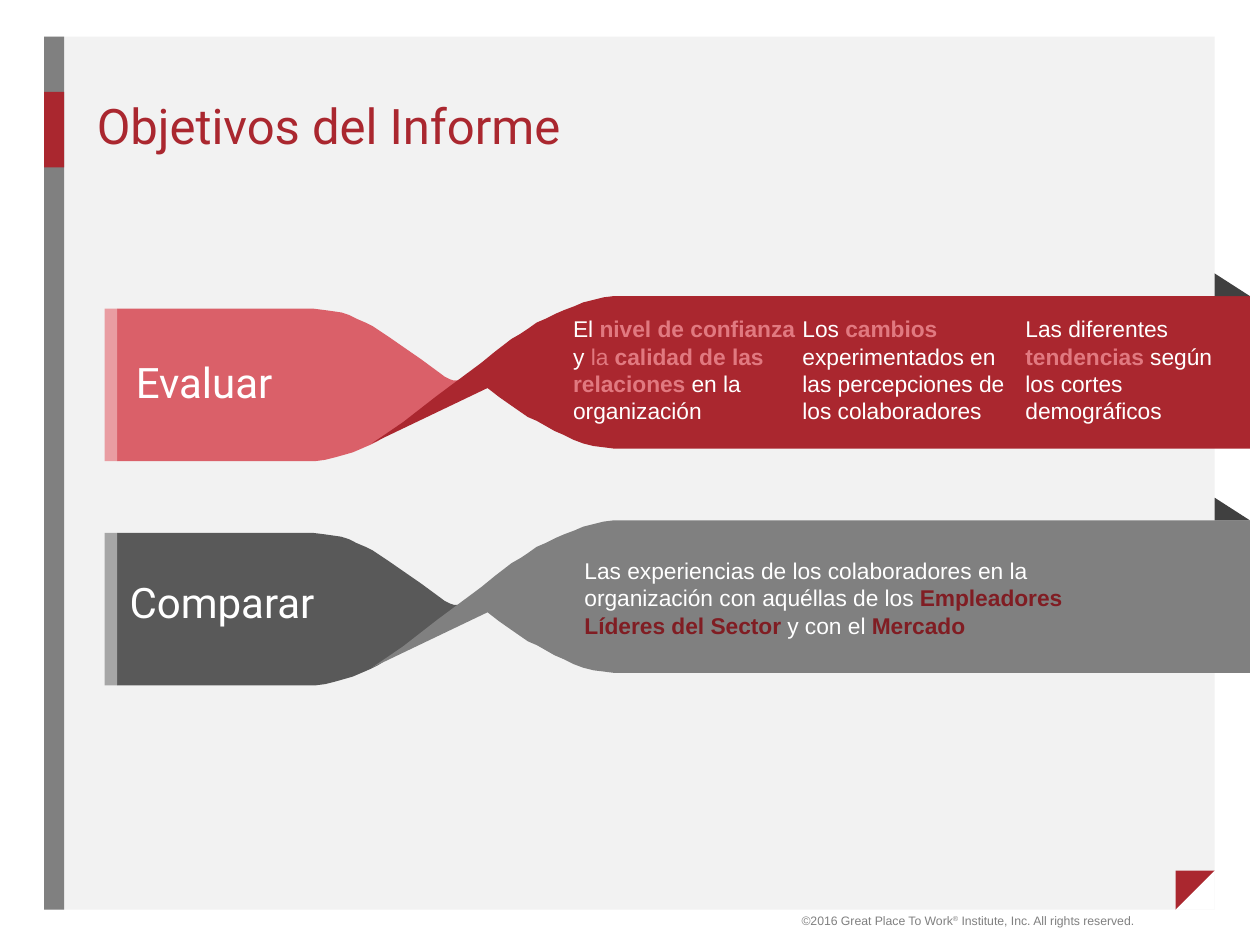
from pptx import Presentation
from pptx import util as u
from pptx.dml.color import RGBColor
from pptx.enum import shapes, text

COLORS = {
    "panel": "F2F2F2", "gray": "808080", "red": "AA272F", "white": "FFFFFF",
    "coral": "DA6069", "coral_edge": "E99DA2", "coral_text": "E17980",
    "dark": "595959", "dark_edge": "A6A6A6", "dark_red": "801D23", "fold": "404040",
}

# The slide is a grid of 1000 columns by 750 rows, each cell 0.01 inch square
COLS, ROWS = 1000, 750
CELL = u.Inches(0.01)
RIBBON_HEIGHT = 121

# Ribbon outlines, in cells from the upper left corner of each part
HEAD = [
    (149, 0), (156, 0), (164, 1), (171, 2), (178, 3), (184, 5), (190, 8), (197, 11),
    (203, 14), (209, 18), (215, 22), (228, 31), (241, 40), (256, 51), (260, 54),
    (264, 56), (267, 57), (272, 57), (275, 57), (279, 56), (282, 55), (286, 53),
    (289, 52), (291, 50), (296, 47), (298, 44), (299, 43), (252, 75), (231, 90),
    (220, 97), (213, 101), (207, 105), (201, 108), (194, 111), (187, 114), (180, 116),
    (173, 118), (165, 120), (157, 121), (149, 121), (0, 121), (0, 0),
]
BODY = [
    (200, 0), (192, 0), (184, 1), (176, 3), (168, 5), (161, 8), (153, 11), (146, 14),
    (138, 18), (131, 21), (124, 26), (118, 30), (111, 34), (98, 44), (87, 53),
    (52, 79), (25, 100), (6, 113), (0, 117), (92, 73), (101, 80), (111, 87),
    (124, 96), (131, 99), (138, 103), (145, 107), (152, 110), (160, 114), (168, 117),
    (176, 119), (184, 120), (192, 121), (200, 121), (697, 121), (697, 0),
]


def paint(shape, color):
    shape.shadow.inherit = False
    shape.fill.solid()
    shape.fill.fore_color.rgb = RGBColor.from_string(COLORS[color])
    shape.line.fill.background()


def add_block(slide, box, color, kind=shapes.MSO_SHAPE.RECTANGLE, rotation=0):
    block = slide.shapes.add_shape(kind, *(CELL * side for side in box))
    block.rotation = rotation
    paint(block, color)


def add_outline(slide, left, top, points, color):
    corners = [(left + x, top + y) for x, y in points]
    builder = slide.shapes.build_freeform(*corners[0], scale=CELL)
    builder.add_line_segments(corners[1:], close=True)
    paint(builder.convert_to_shape(), color)


def add_text(slide, box, runs, size, font="Arial", align=text.PP_ALIGN.LEFT,
             anchor=text.MSO_ANCHOR.TOP):
    """Each run is (words, color) or (words, color, bold)."""
    frame = slide.shapes.add_textbox(*(CELL * side for side in box)).text_frame
    frame.word_wrap = True
    frame.vertical_anchor = anchor
    paragraph = frame.paragraphs[0]
    paragraph.alignment = align
    for words, color, *bold in runs:
        run = paragraph.add_run()
        run.text = words
        run.font.name = font
        run.font.size = u.Pt(size)
        run.font.bold = bool(bold and bold[0])
        run.font.color.rgb = RGBColor.from_string(COLORS[color])
    return paragraph


def add_frame(slide, left, top, width, height):
    """Panel, side bar, page corner and copyright line."""
    bar, corner = 16, 31
    add_block(slide, (left, top, width, height), "panel")
    add_block(slide, (left, top, bar, height), "gray")
    add_block(slide, (left, top + 44, bar, 60), "red")
    corner_box = (left + width - corner, top + height - corner, corner, corner)
    for color, rotation in (("red", 90), ("white", 270)):
        add_block(slide, corner_box, color, shapes.MSO_SHAPE.RIGHT_TRIANGLE, rotation)
    copyright_line = add_text(
        slide, (left + 375, top + height - 2, 500, 22),
        [("©2016 Great Place To Work", "gray"), ("®", "gray"),
         (" Institute, Inc. All rights reserved.", "gray")],
        7, align=text.PP_ALIGN.RIGHT)
    registered = copyright_line.runs[1].font
    registered._element.set("baseline", "30000")


def add_title(slide, left, top, width, height):
    add_text(slide, (left, top, width, height), [("Objetivos del Informe", "red")],
             28, "Roboto", anchor=text.MSO_ANCHOR.MIDDLE)


def add_ribbon(slide, left, top, width, head_color, body_color, edge_color, label, notes):
    """Twisted ribbon: labelled head, body with notes, edge strip and fold."""
    fold_width, fold_height, edge_width = 28, 18, 10
    body_top = top + fold_height
    head_top = body_top + 10
    right = left + width
    add_outline(slide, left + edge_width, head_top, HEAD, head_color)
    add_outline(slide, right - 697, body_top, BODY, body_color)
    add_block(slide, (left, head_top, edge_width, RIBBON_HEIGHT), edge_color)
    add_block(slide, (right - fold_width, top, fold_width, fold_height), "fold",
              shapes.MSO_SHAPE.RIGHT_TRIANGLE)
    words, x, y, label_width = label
    add_text(slide, (left + x, top + y, label_width, 50), [(words, "white")], 24, "Roboto")
    for x, y, note_width, note_height, runs in notes:
        add_text(slide, (left + x, top + y, note_width, note_height), runs, 13)


def main():
    deck = Presentation()
    deck.slide_width, deck.slide_height = CELL * COLS, CELL * ROWS
    slide = deck.slides.add_slide(deck.slide_layouts[6])

    add_frame(slide, 35, 29, 929, 693)
    add_title(slide, 67, 69, 683, 60)

    evaluate_notes = [
        (362, 28, 199, 98, [
            ("El ", "white"), ("nivel de confianza ", "coral_text", True),
            ("y ", "white"), ("la ", "coral_text"),
            ("calidad de las relaciones ", "coral_text", True),
            ("en la organización", "white")]),
        (544, 28, 185, 98, [
            ("Los ", "white"), ("cambios", "coral_text", True),
            (" experimentados en las percepciones de los colaboradores", "white")]),
        (721, 28, 185, 98, [
            ("Las diferentes ", "white"), ("tendencias ", "coral_text", True),
            ("según los cortes demográficos", "white")]),
    ]
    compare_notes = [
        (371, 42, 443, 76, [
            ("Las experiencias de los colaboradores en la organización con aquéllas de los ",
             "white"),
            ("Empleadores Líderes del Sector ", "dark_red", True),
            ("y con el ", "white"), ("Mercado", "dark_red", True)]),
    ]
    ribbons = [
        ("coral", "red", "coral_edge", ("Evaluar", 15, 61, 193), evaluate_notes),
        ("dark", "gray", "dark_edge", ("Comparar", 10, 58, 219), compare_notes),
    ]
    first_top, pitch = 217, 178
    for row, ribbon in enumerate(ribbons):
        add_ribbon(slide, 83, first_top + row * pitch, 909, *ribbon)

    deck.save("out.pptx")


if __name__ == "__main__":
    main()
